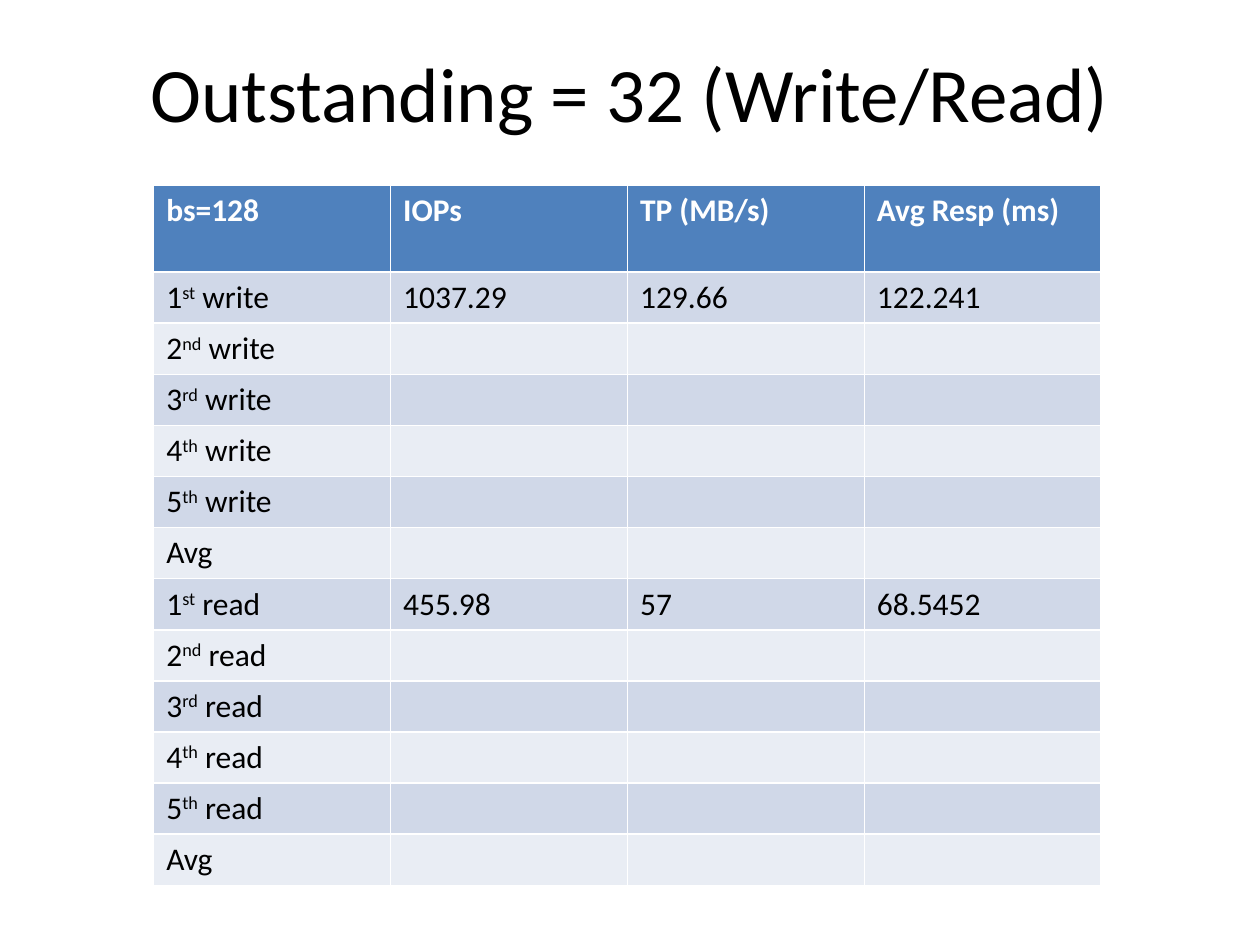
"""Build the write/read benchmark slide with its results table."""
from dataclasses import dataclass

from pptx import Presentation
from pptx.dml.color import RGBColor
from pptx.enum.text import MSO_ANCHOR, PP_ALIGN
from pptx.util import Inches, Pt

MIDDLE = MSO_ANCHOR.MIDDLE
CENTER = PP_ALIGN.CENTER


@dataclass(frozen=True)
class Theme:
    font: str = "Calibri"
    title_size: int = 44
    table_size: int = 18
    ink: str = "000000"
    header_ink: str = "FFFFFF"
    header_fill: str = "4F81BD"
    bands: tuple[str, str] = ("D0D8E8", "E9EDF4")


@dataclass(frozen=True)
class Measurement:
    label: str
    suffix: str = ""
    operation: str = ""
    values: tuple[str, ...] = ("", "", "")


THEME = Theme()
HEADINGS = ("bs=128", "IOPs", "TP (MB/s)", "Avg Resp (ms)")
SUFFIXES = ("st", "nd", "rd", "th", "th")
FIRST_RUNS = {
    "write": ("1037.29", "129.66", "122.241"),
    "read": ("455.98", "57", "68.5452"),
}
COLUMN_WIDTH, HEADER_HEIGHT, ROW_HEIGHT = 1.88, 0.69, 0.4


def list_measurements() -> list[Measurement]:
    """Return five runs and an average for each operation."""
    measurements = []
    for operation, first_values in FIRST_RUNS.items():
        for number, suffix in enumerate(SUFFIXES, start=1):
            values = first_values if number == 1 else ("", "", "")
            measurements.append(Measurement(str(number), suffix, f" {operation}", values))
        measurements.append(Measurement("Avg"))
    return measurements


def style_font(font, size: int, color: str, bold: bool = False) -> None:
    """Apply the theme typeface with a size, colour and weight."""
    font.name = THEME.font
    font.size = Pt(size)
    font.bold = bold
    font.color.rgb = RGBColor.from_string(color)


def fill_cell(cell, parts: tuple[str, ...], fill: str, color: str, bold: bool = False) -> None:
    """Colour a cell and write its parts, raising the second one."""
    cell.fill.solid()
    cell.fill.fore_color.rgb = RGBColor.from_string(fill)
    paragraph = cell.text_frame.paragraphs[0]
    paragraph.font.size = Pt(THEME.table_size)
    for position, part in enumerate(parts):
        if part:
            run = paragraph.add_run()
            run.text = part
            style_font(run.font, THEME.table_size, color, bold)
            if position == 1:
                run.font._element.set("baseline", "30000")


def add_title(slide, wording: str) -> None:
    """Place and format the slide title."""
    title = slide.shapes.title
    title.left, title.top = Inches(0.5), Inches(0.3)
    title.width, title.height = Inches(9), Inches(0.85)
    title.text_frame.text = wording
    title.text_frame.vertical_anchor = MIDDLE
    paragraph = title.text_frame.paragraphs[0]
    paragraph.alignment = CENTER
    style_font(paragraph.runs[0].font, THEME.title_size, THEME.ink)


def add_results(slide, measurements: list[Measurement]) -> None:
    """Draw the header and the banded measurement rows."""
    row_count, column_count = len(measurements) + 1, len(HEADINGS)
    results = slide.shapes.add_table(
        row_count, column_count, Inches(1.22), Inches(1.47),
        Inches(COLUMN_WIDTH * column_count),
        Inches(HEADER_HEIGHT + ROW_HEIGHT * len(measurements)),
    ).table
    for column in results.columns:
        column.width = Inches(COLUMN_WIDTH)
    for index, row in enumerate(results.rows):
        row.height = Inches(ROW_HEIGHT if index else HEADER_HEIGHT)
    for column, heading in enumerate(HEADINGS):
        fill_cell(results.cell(0, column), (heading,), THEME.header_fill, THEME.header_ink, True)
    for index, entry in enumerate(measurements):
        fill = THEME.bands[index % 2]
        label = (entry.label, entry.suffix, entry.operation)
        fill_cell(results.cell(index + 1, 0), label, fill, THEME.ink)
        for column, value in enumerate(entry.values, start=1):
            fill_cell(results.cell(index + 1, column), (value,), fill, THEME.ink)


def main() -> None:
    """Build and save the presentation."""
    presentation = Presentation()
    presentation.slide_width, presentation.slide_height = Inches(10), Inches(7.5)
    slide = presentation.slides.add_slide(presentation.slide_layouts[5])
    add_title(slide, "Outstanding = 32 (Write/Read)")
    add_results(slide, list_measurements())
    presentation.save("out.pptx")


main()
